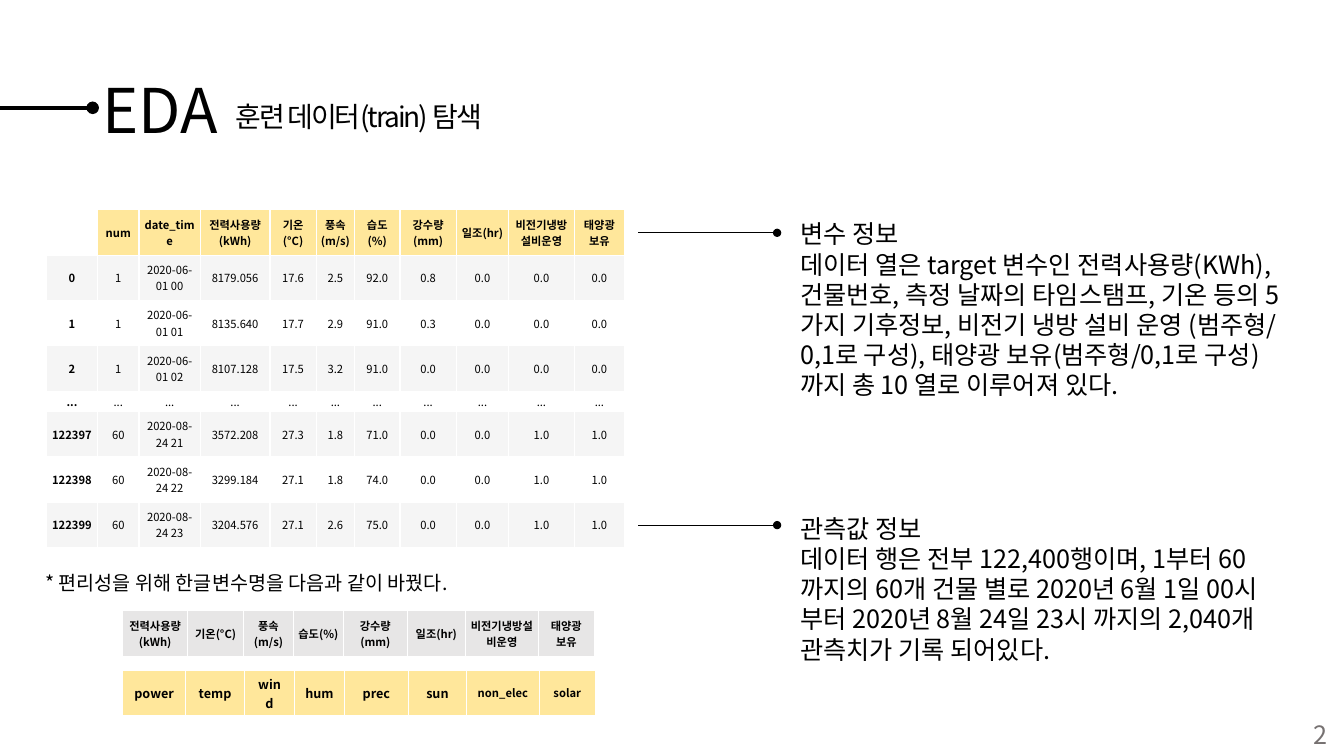
"""Build the EDA slide describing the training data of a power usage set."""
from lxml import etree
from pptx import Presentation
from pptx.dml.color import RGBColor
from pptx.enum.shapes import MSO_CONNECTOR
from pptx.enum.text import MSO_ANCHOR, MSO_AUTO_SIZE, PP_ALIGN
from pptx.oxml import parse_xml
from pptx.oxml.ns import nsdecls, qn
from pptx.util import Pt

FONT = "Noto Sans CJK KR"
BLACK = RGBColor(0x00, 0x00, 0x00)
WHITE = RGBColor(0xFF, 0xFF, 0xFF)
YELLOW = RGBColor(0xFF, 0xE7, 0x9B)
PALE = RGBColor(0xF5, 0xF5, 0xF5)
GRAY = RGBColor(0xE7, 0xE6, 0xE6)
DARK_GRAY = RGBColor(0x76, 0x71, 0x71)

TITLE = "EDA"
SUBTITLE = "훈련 데이터(train) 탐색"
NOTE = "* 편리성을 위해 한글변수명을 다음과 같이 바꿨다."
PAGE = "2"

TRAIN_HEAD = ["", "num", "date_time", "전력사용량\n(kWh)", "기온(°C)", "풍속(m/s)", "습도(%)",
              "강수량\n(mm)", "일조(hr)", "비전기냉방설비운영", "태양광\n보유"]
TRAIN_ROWS = [
    ["0", "1", "2020-06-01 00", "8179.056", "17.6", "2.5", "92.0", "0.8", "0.0", "0.0", "0.0"],
    ["1", "1", "2020-06-01 01", "8135.640", "17.7", "2.9", "91.0", "0.3", "0.0", "0.0", "0.0"],
    ["2", "1", "2020-06-01 02", "8107.128", "17.5", "3.2", "91.0", "0.0", "0.0", "0.0", "0.0"],
    ["..."] * 11,
    ["122397", "60", "2020-08-24 21", "3572.208", "27.3", "1.8", "71.0", "0.0", "0.0", "1.0", "1.0"],
    ["122398", "60", "2020-08-24 22", "3299.184", "27.1", "1.8", "74.0", "0.0", "0.0", "1.0", "1.0"],
    ["122399", "60", "2020-08-24 23", "3204.576", "27.1", "2.6", "75.0", "0.0", "0.0", "1.0", "1.0"],
]
TRAIN_COLS = [36.7, 29.5, 43.9, 49.7, 33.1, 27.4, 32.4, 40.3, 37.4, 46.8, 36]

OLD_NAMES = ["전력사용량\n(kWh)", "기온(°C)", "풍속\n(m/s)", "습도(%)", "강수량\n(mm)",
             "일조(hr)", "비전기냉방설비운영", "태양광\n보유"]
OLD_COLS = [46.1, 40.3, 35.3, 36, 45.4, 41.8, 51.8, 40.3]
NEW_NAMES = ["power", "temp", "wind", "hum", "prec", "sun", "non_elec", "solar"]
NEW_COLS = [44.6, 42.5] + OLD_COLS[2:]

INFO = [
    (152.6, 138.2, 166.3, "변수 정보\n데이터 열은 target 변수인 전력사용량(KWh), 건물번호, 측정 날짜의 "
     "타임스탬프, 기온 등의 5가지 기후정보, 비전기 냉방 설비 운영 (범주형/ 0,1로 구성), "
     "태양광 보유(범주형/0,1로 구성) 까지 총 10 열로 이루어져 있다."),
    (362.9, 116.6, 375.1, "관측값 정보\n데이터 행은 전부 122,400행이며, 1부터 60까지의 60개 건물 별로 "
     "2020년 6월 1일 00시 부터 2020년 8월 24일 23시 까지의 2,040개 관측치가 기록 되어있다."),
]

ROW_H, DOTS_H = 32.4, 13.7
TIGHT, ROOMY = (2.9, 1.4), (7.2, 3.6)


def style_run(r, size, color=BLACK, bold=False):
    r.font.size, r.font.bold, r.font.name = Pt(size), bold, FONT
    r.font.color.rgb = color
    ea = etree.SubElement(r.font._element, qn("a:ea"))
    ea.set("typeface", FONT)


def add_text(slide, box, text, size, spacing, color=BLACK, grow=True):
    sp = slide.shapes.add_textbox(*map(Pt, box))
    tf = sp.text_frame
    tf.text = text
    tf.word_wrap = True
    tf.auto_size = MSO_AUTO_SIZE.SHAPE_TO_FIT_TEXT if grow else MSO_AUTO_SIZE.NONE
    for p in tf.paragraphs:
        p.line_spacing = spacing
        for r in p.runs:
            style_run(r, size, color)
    return tf


def add_dot_line(slide, x1, x2, y, width):
    line = slide.shapes.add_connector(MSO_CONNECTOR.STRAIGHT, Pt(x1), Pt(y), Pt(x2), Pt(y))
    line.line.color.rgb = BLACK
    line.line.width = Pt(width)
    etree.SubElement(line.line._get_or_add_ln(), qn("a:tailEnd")).set("type", "oval")
    etree.SubElement(line._element.spPr, qn("a:effectLst"))


def fill_cell(cell, text, fill, size, bold, inset):
    cell.text = text
    cell.vertical_anchor = MSO_ANCHOR.MIDDLE
    cell.margin_left = cell.margin_right = Pt(inset[0])
    cell.margin_top = cell.margin_bottom = Pt(inset[1])
    for p in cell.text_frame.paragraphs:
        p.alignment = PP_ALIGN.CENTER
        for r in p.runs:
            style_run(r, size, bold=bold)
    if fill is None:
        cell.fill.background()
    else:
        cell.fill.solid()
        cell.fill.fore_color.rgb = fill
    tc_pr = cell._tc.get_or_add_tcPr()
    for i, side in enumerate("LRTB"):
        tc_pr.insert(i, parse_xml(
            f'<a:ln{side} {nsdecls("a")} w="12700"><a:solidFill>'
            f'<a:srgbClr val="{WHITE}"/></a:solidFill></a:ln{side}>'))


def add_grid(slide, left, top, cols, rows, heights, look):
    frame = slide.shapes.add_table(len(rows), len(cols), Pt(left), Pt(top),
                                   Pt(sum(cols)), Pt(sum(heights)))
    table = frame.table
    table.first_row = table.horz_banding = False
    for column, width in zip(table.columns, cols):
        column.width = Pt(width)
    for i, (row, height) in enumerate(zip(rows, heights)):
        table.rows[i].height = Pt(height)
        for j, text in enumerate(row):
            fill_cell(table.cell(i, j), text, *look(i, j))


def train_look(i, j):
    if i == 0:
        fill = YELLOW if j else None
    else:
        fill = PALE if i % 2 else WHITE
    return fill, 8, i == 0 or j == 0, TIGHT


def old_look(i, j):
    return GRAY, 8, True, TIGHT


def new_look(i, j):
    size, inset = (9, ROOMY) if j < 6 else (8, TIGHT)
    return YELLOW, size, True, inset


def main():
    prs = Presentation()
    prs.slide_width, prs.slide_height = Pt(960), Pt(540)
    slide = prs.slides.add_slide(prs.slide_layouts[6])

    title = add_text(slide, (66.2, 28.8, 828, 104.4), TITLE, 44, 0.9, grow=False)
    title.vertical_anchor = MSO_ANCHOR.MIDDLE
    subtitle = add_text(slide, (161.3, 69.8, 195.8, 33.1), SUBTITLE, 20, Pt(21.6), grow=False)
    subtitle.paragraphs[0].runs[0].font._element.set("spc", "-150")
    add_dot_line(slide, 0, 66.2, 77, 3)

    heights = [DOTS_H if row[0] == "..." else ROW_H for row in [TRAIN_HEAD] + TRAIN_ROWS]
    add_grid(slide, 33.1, 149.8, TRAIN_COLS, [TRAIN_HEAD] + TRAIN_ROWS, heights, train_look)

    for top, height, line_y, text in INFO:
        add_text(slide, (564.5, top, 370.1, height), text, 18, Pt(21.6))
        add_dot_line(slide, 455.8, 555.1, line_y, 0.5)

    add_text(slide, (25.2, 404.6, 480.2, 24.5), NOTE, 14, Pt(16.8))
    add_grid(slide, 87.8, 436.3, OLD_COLS, [OLD_NAMES], [ROW_H], old_look)
    add_grid(slide, 87.8, 478.8, NEW_COLS, [NEW_NAMES], [ROW_H], new_look)
    add_text(slide, (931, 510.5, 41, 29.5), PAGE, 18, Pt(21.6), DARK_GRAY)
    prs.save("out.pptx")


if __name__ == "__main__":
    main()
